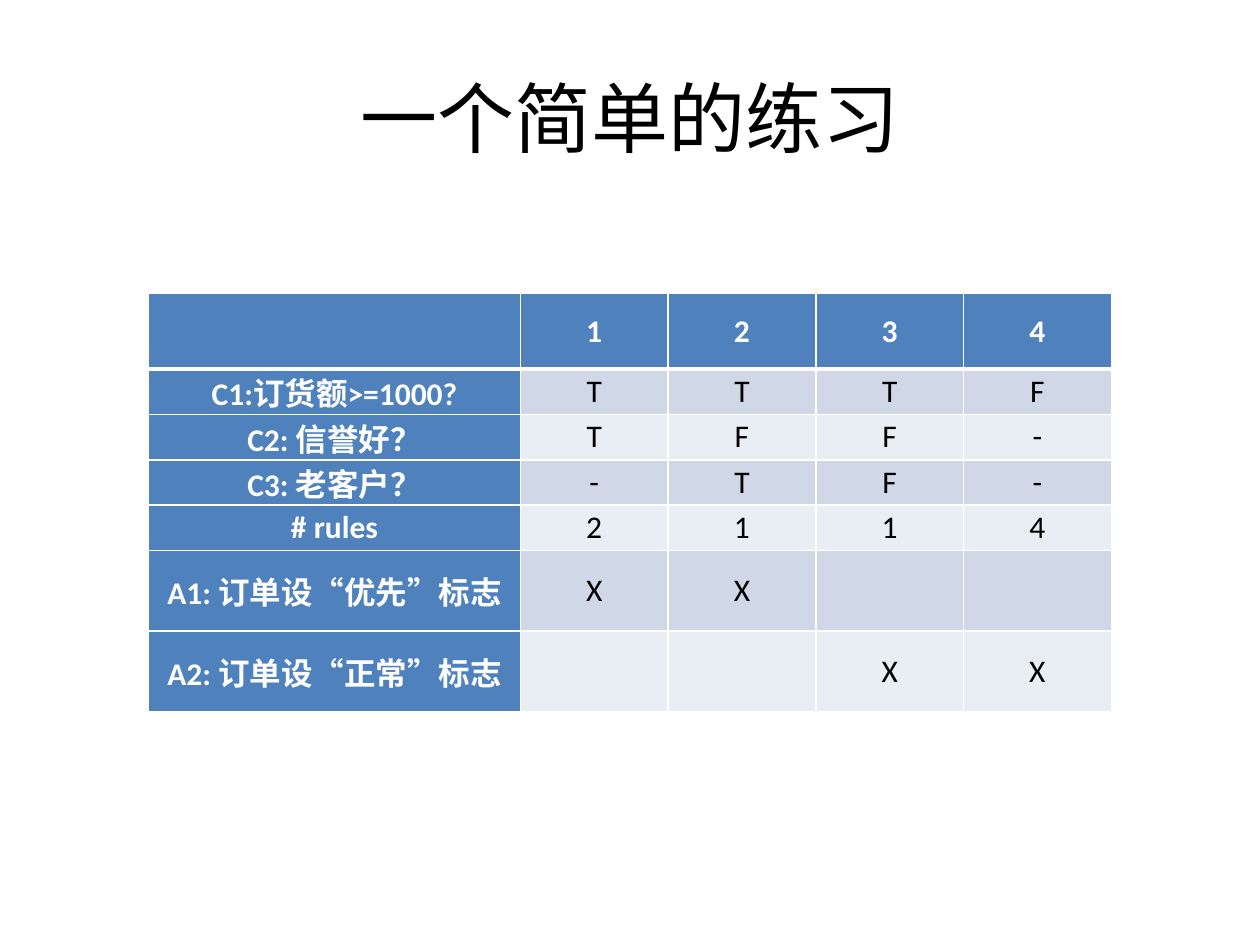
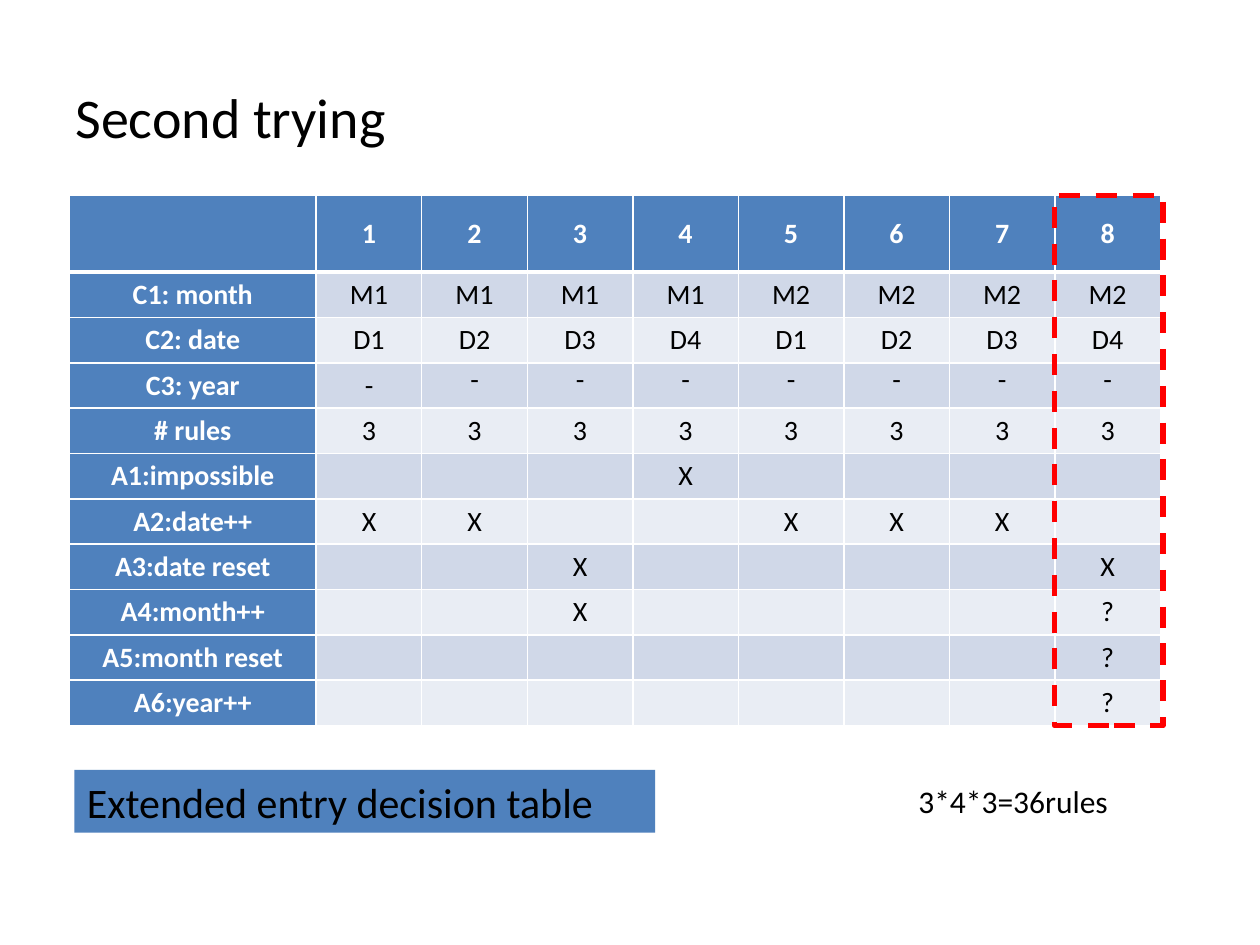
from lxml import etree
from pptx import Presentation
from pptx.dml.color import RGBColor
from pptx.enum.dml import MSO_LINE
from pptx.enum.shapes import MSO_SHAPE
from pptx.enum.text import MSO_ANCHOR, MSO_AUTO_SIZE, PP_ALIGN
from pptx.oxml.ns import qn
from pptx.util import Inches, Pt

FONT = "Calibri"
BLACK = RGBColor(0x00, 0x00, 0x00)
WHITE = RGBColor(0xFF, 0xFF, 0xFF)
BLUE = RGBColor(0x4F, 0x81, 0xBD)
RED = RGBColor(0xFF, 0x00, 0x00)
BANDS = (RGBColor(0xD0, 0xD8, 0xE8), RGBColor(0xE9, 0xED, 0xF4))

TITLE_AREA = (0.5, 0.3, 9, 1.25)

# Each row: label, then one entry per rule; "" leaves an entry empty.
ORDER_RULES = {
    "area": (1.18, 2.33, 7.64), "label_width": 2.95, "size": 18,
    "heights": [0.6] + [0.36] * 4 + [0.64] * 2,
    "rows": [
        ("", *"1234"),
        ("C1:订货额>=1000?", *"TTTF"),
        ("C2: 信誉好？", *"TFF-"),
        ("C3: 老客户？", *"-TF-"),
        ("# rules", *"2114"),
        ("A1: 订单设“优先”标志", "X", "X", "", ""),
        ("A2: 订单设“正常”标志", "", "", "X", "X"),
    ],
}


def marks(**by_rule):
    """Entries for rules 1 to 8, given as r1="X" and so on."""
    return [by_rule.get(f"r{rule}", "") for rule in range(1, 9)]


DATE_RULES = {
    "area": (0.55, 1.55, 8.66), "label_width": 1.96, "size": 16,
    "heights": [0.61] + [0.36] * 10,
    "top_aligned_row": 3,
    "rows": [
        ("", *"12345678"),
        ("C1: month", *["M1"] * 4, *["M2"] * 4),
        ("C2: date", *["D1", "D2", "D3", "D4"] * 2),
        ("C3: year", *"-" * 8),
        ("# rules", *"3" * 8),
        ("A1:impossible", *marks(r4="X")),
        ("A2:date++", *marks(r1="X", r2="X", r5="X", r6="X", r7="X")),
        ("A3:date reset", *marks(r3="X", r8="X")),
        ("A4:month++", *marks(r3="X", r8="?")),
        ("A5:month reset", *marks(r8="?")),
        ("A6:year++", *marks(r8="?")),
    ],
}


def inches(*lengths):
    return [Inches(length) for length in lengths]


def write(frame, text, size, color=BLACK, align=PP_ALIGN.LEFT, bold=False):
    paragraph = frame.paragraphs[0]
    paragraph.text = text
    paragraph.alignment = align
    font = paragraph.font
    font.name, font.size, font.bold = FONT, Pt(size), bold
    font.color.rgb = color


def add_text(slide, area, text, size, **style):
    box = slide.shapes.add_textbox(*inches(*area))
    box.text_frame.word_wrap = True
    write(box.text_frame, text, size, **style)
    return box


def add_title(slide, text, size, align):
    title = add_text(slide, TITLE_AREA, text, size, align=align)
    title.text_frame.vertical_anchor = MSO_ANCHOR.MIDDLE


def add_rectangle(slide, area):
    rectangle = slide.shapes.add_shape(MSO_SHAPE.RECTANGLE, *inches(*area))
    rectangle.shadow.inherit = False
    return rectangle


def set_borders(cell, top=1, bottom=1):
    """White cell borders, widths in points; they go before the fill."""
    properties = cell._tc.get_or_add_tcPr()
    widths = {"a:lnL": 1, "a:lnR": 1, "a:lnT": top, "a:lnB": bottom}
    for place, (tag, width) in enumerate(widths.items()):
        line = etree.Element(qn(tag), w=str(Pt(width)))
        fill = etree.SubElement(line, qn("a:solidFill"))
        etree.SubElement(fill, qn("a:srgbClr"), val=str(WHITE))
        properties.insert(place, line)


def add_decision_table(slide, content):
    rows, heights = content["rows"], content["heights"]
    left, top, width = content["area"]
    rules = len(rows[0]) - 1
    rule_width = (width - content["label_width"]) / rules
    table = slide.shapes.add_table(
        len(rows), rules + 1, *inches(left, top, width, sum(heights))).table
    for column, length in zip(table.columns, [content["label_width"]] + [rule_width] * rules):
        column.width = Inches(length)
    for r, (row, height) in enumerate(zip(rows, heights)):
        table.rows[r].height = Inches(height)
        for c, entry in enumerate(row):
            cell = table.cell(r, c)
            heading = r == 0 or c == 0
            cell.fill.solid()
            cell.fill.fore_color.rgb = BLUE if heading else BANDS[(r - 1) % 2]
            set_borders(cell, top=3 if r == 1 else 1, bottom=3 if r == 0 else 1)
            cell.margin_left = cell.margin_right = Inches(0.07)
            cell.margin_top = cell.margin_bottom = 0
            if r != content.get("top_aligned_row") or c < 2:
                cell.vertical_anchor = MSO_ANCHOR.MIDDLE
            write(cell.text_frame, entry, content["size"],
                  WHITE if heading else BLACK, PP_ALIGN.CENTER, heading)


def build_order_slide(slide):
    add_title(slide, "一个简单的练习", 44, PP_ALIGN.CENTER)
    add_decision_table(slide, ORDER_RULES)


def build_date_slide(slide):
    kind = add_rectangle(slide, (0.59, 6.11, 4.61, 0.5))
    kind.fill.solid()
    kind.fill.fore_color.rgb = BLUE
    kind.line.fill.background()
    write(kind.text_frame, "Extended entry decision table", 24)
    rule_count = add_text(slide, (7.19, 6.16, 2.03, 0.4), "3*4*3=36rules", 18)
    for box in (kind, rule_count):
        box.text_frame.auto_size = MSO_AUTO_SIZE.SHAPE_TO_FIT_TEXT

    add_title(slide, "Second trying", 32, PP_ALIGN.LEFT)
    add_decision_table(slide, DATE_RULES)

    left, top, width = DATE_RULES["area"]
    open_rule = add_rectangle(
        slide, (left + width - 0.84, top, 0.86, sum(DATE_RULES["heights"])))
    open_rule.fill.background()
    open_rule.line.color.rgb = RED
    open_rule.line.width = Pt(3)
    open_rule.line.dash_style = MSO_LINE.DASH


def main():
    deck = Presentation()
    deck.slide_width, deck.slide_height = inches(10, 7.5)
    blank = deck.slide_layouts[6]
    for build in (build_order_slide, build_date_slide):
        build(deck.slides.add_slide(blank))
    deck.save("out.pptx")


if __name__ == "__main__":
    main()
